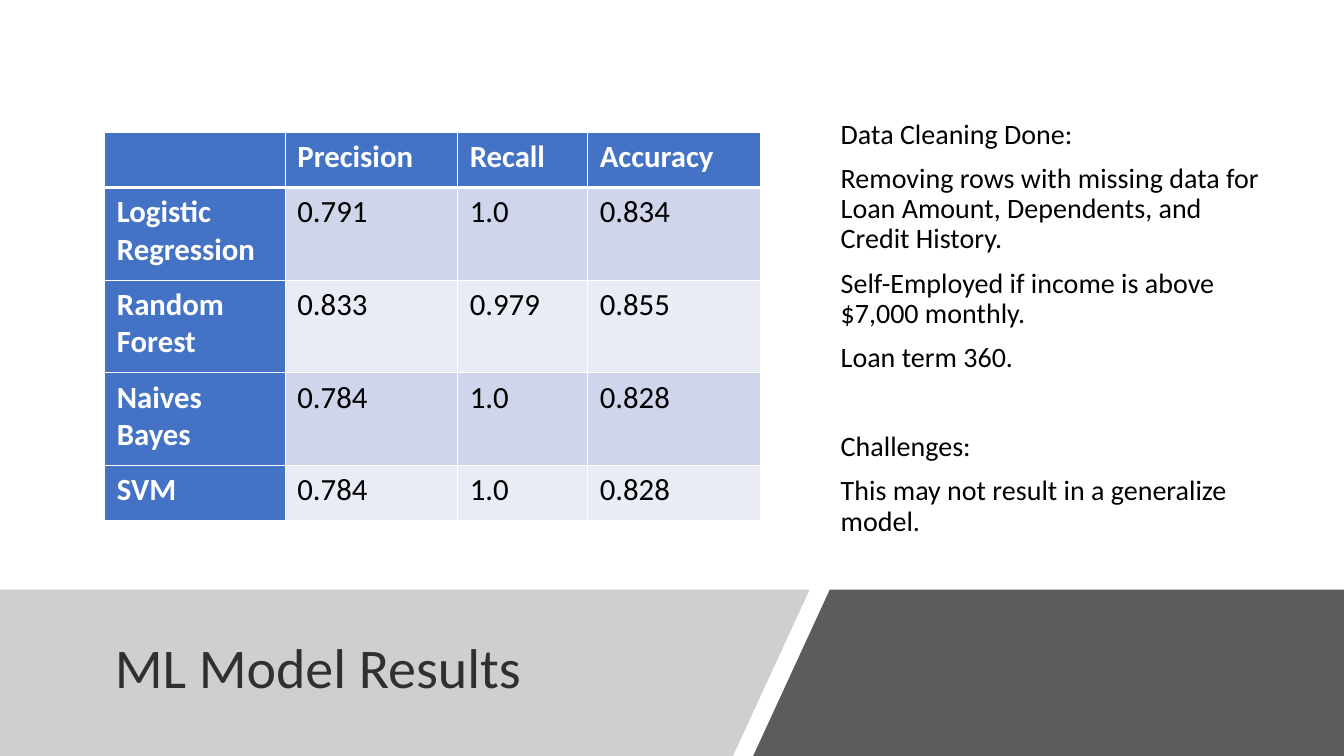
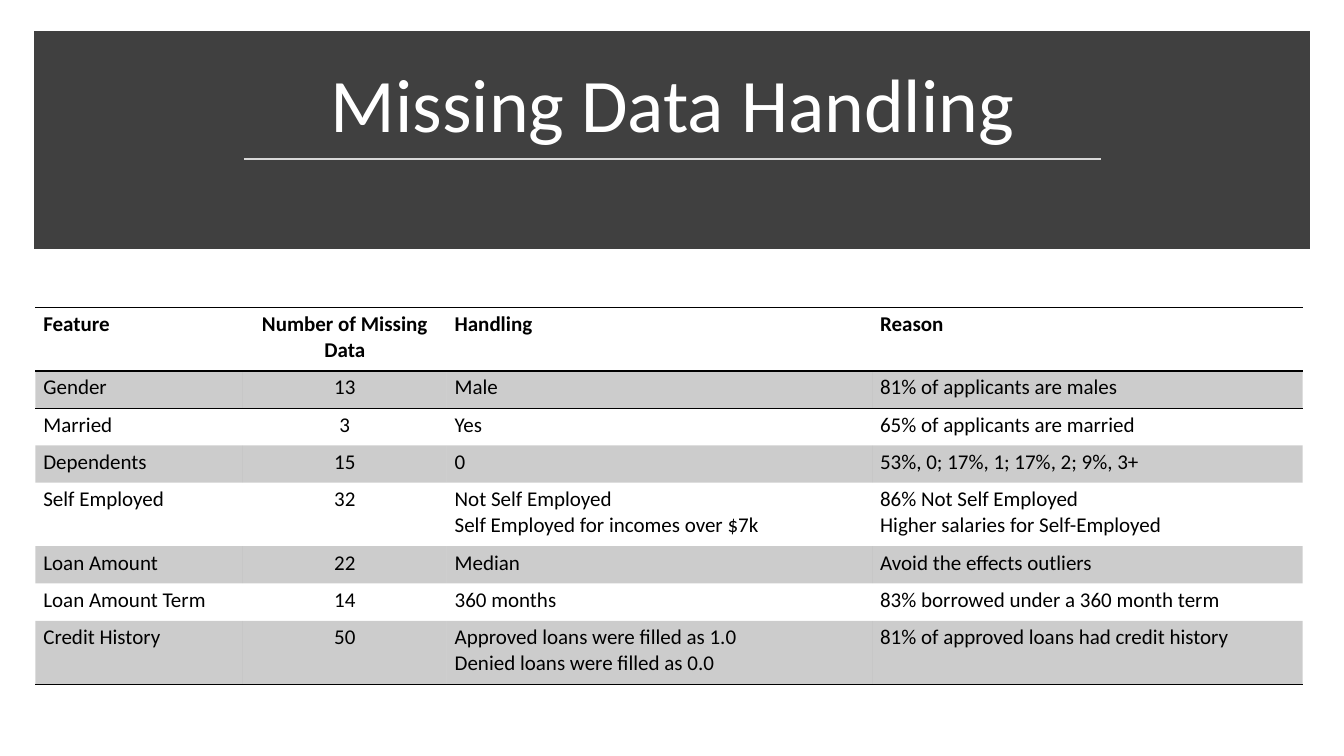
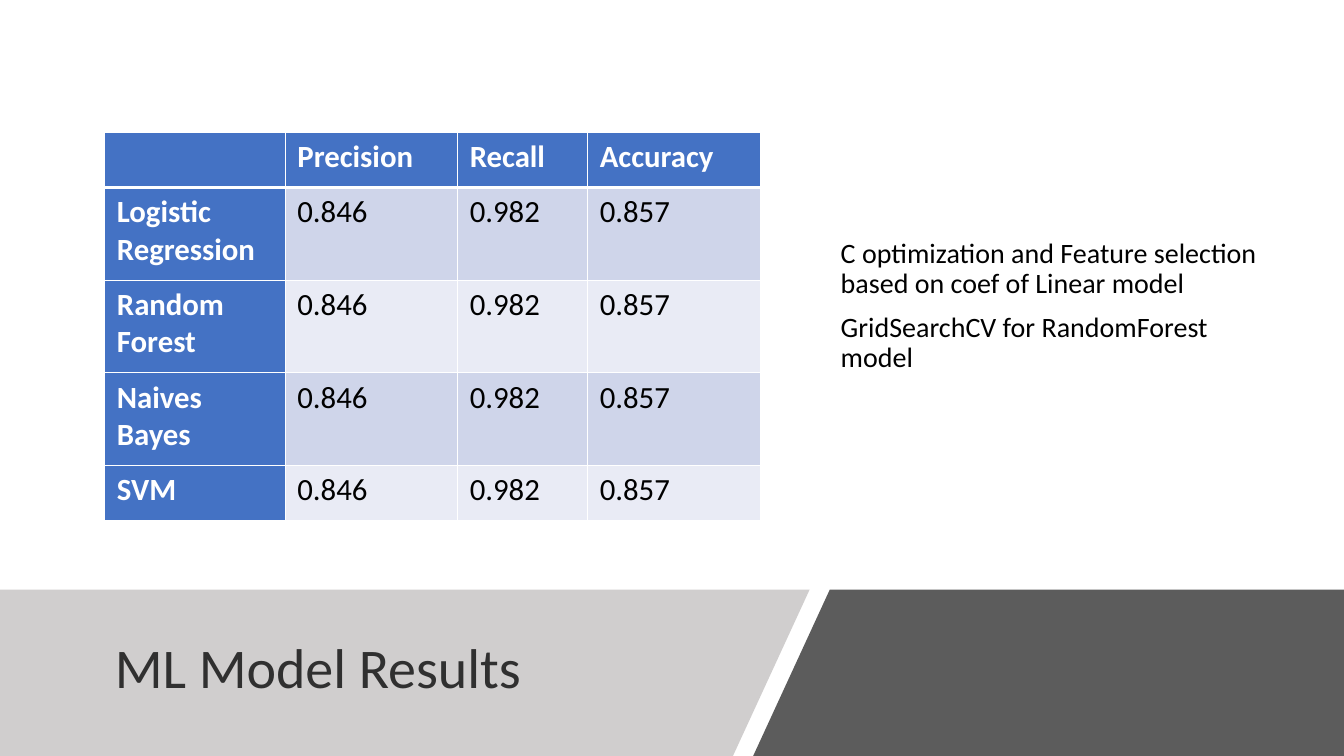
from dataclasses import dataclass

from lxml import etree
from pptx import Presentation
from pptx.dml.color import RGBColor
from pptx.enum.shapes import MSO_CONNECTOR, MSO_SHAPE
from pptx.enum.text import MSO_ANCHOR, PP_ALIGN
from pptx.oxml.ns import qn
from pptx.util import Inches, Pt

RECT = MSO_SHAPE.RECTANGLE
LINE = MSO_CONNECTOR.STRAIGHT
LEFT, CENTER = PP_ALIGN.LEFT, PP_ALIGN.CENTER
MIDDLE, BOTTOM = MSO_ANCHOR.MIDDLE, MSO_ANCHOR.BOTTOM

FONT = "Calibri"
PLAIN = "{2D5ABB26-0587-4C30-8999-92F81FD0307C}"
COLORS = {
    "white": "FFFFFF",
    "black": "000000",
    "dark": "404040",
    "title": "303030",
    "band": "D0CECE",
    "rule": "D9D9D9",
    "head": "4472C4",
    "odd": "CFD5EA",
    "even": "E9EBF5",
}


@dataclass(frozen=True)
class Style:
    size: float
    color: str = "black"
    bold: bool = False
    align: PP_ALIGN = LEFT
    pitch: float | None = None
    before: float = 0


@dataclass(frozen=True)
class Band:
    points: list[tuple[float, float]]
    color: str
    alpha: int = 100


@dataclass(frozen=True)
class Note:
    text: str
    before: float = 10


@dataclass(frozen=True)
class Result:
    rows: list[list[str]]
    notes: list[Note]
    foot: float = 0.05


@dataclass(frozen=True)
class Look:
    style: Style
    edges: dict[str, tuple[str, float]]
    fill: str | None = None
    alpha: int = 100


BANDS = [
    Band([(8.23, 5.85), (13.33, 5.85), (13.33, 7.5), (7.47, 7.5)], "dark", 85),
    Band([(0, 5.85), (8.03, 5.85), (7.27, 7.5), (0, 7.5)], "band"),
]
SCORES = ["", "Precision", "Recall", "Accuracy"]
MODELS = ["Logistic Regression", "Random Forest", "Naives Bayes", "SVM"]

FIRST = Result(
    [
        ["0.791", "1.0", "0.834"],
        ["0.833", "0.979", "0.855"],
        ["0.784", "1.0", "0.828"],
        ["0.784", "1.0", "0.828"],
    ],
    [
        Note("Data Cleaning Done:"),
        Note("Removing rows with missing data for Loan Amount, Dependents, and Credit History."),
        Note("Self-Employed if income is above $7,000 monthly."),
        Note("Loan term 360."),
        Note("Challenges:", 42),
        Note("This may not result in a generalize model."),
    ],
)
TUNED = Result(
    [["0.846", "0.982", "0.857"]] * len(MODELS),
    [
        Note("C optimization and Feature selection based on coef of Linear model"),
        Note("GridSearchCV for RandomForest model"),
    ],
    0.49,
)
MISSING = [
    ["Feature", "Number of Missing Data", "Handling", "Reason"],
    ["Gender", "13", "Male", "81% of applicants are males"],
    ["Married", "3", "Yes", "65% of applicants are married"],
    ["Dependents", "15", "0", "53%, 0; 17%, 1; 17%, 2; 9%, 3+"],
    ["Self Employed", "32", "Not Self Employed\nSelf Employed for incomes over $7k",
     "86% Not Self Employed\nHigher salaries for Self-Employed"],
    ["Loan Amount", "22", "Median", "Avoid the effects outliers"],
    ["Loan Amount Term", "14", "360 months", "83% borrowed under a 360 month term"],
    ["Credit History", "50", "Approved loans were filled as 1.0\nDenied loans were filled as 0.0",
     "81% of approved loans had credit history"],
]


def shade(name: str) -> RGBColor:
    return RGBColor.from_string(COLORS[name])


def fade(props, alpha: int) -> None:
    if alpha < 100:
        color = props.find(qn("a:solidFill") + "/" + qn("a:srgbClr"))
        etree.SubElement(color, qn("a:alpha"), val=str(alpha * 1000))


def write(para, text: str, style: Style) -> None:
    para.text = text
    para.alignment = style.align
    para.space_before = Pt(style.before)
    if style.pitch:
        para.line_spacing = style.pitch
    font = para.font
    font.name, font.size, font.bold = FONT, Pt(style.size), style.bold
    font.color.rgb = shade(style.color)


def fill_text(frame, lines: list[tuple[str, Style]]) -> None:
    for num, (text, style) in enumerate(lines):
        para = frame.add_paragraph() if num else frame.paragraphs[0]
        write(para, text, style)


def add_text(slide, box: tuple[float, ...], lines: list[tuple[str, Style]],
             anchor: MSO_ANCHOR = MIDDLE, foot: float = 0.05) -> None:
    frame = slide.shapes.add_textbox(*map(Inches, box)).text_frame
    frame.word_wrap = True
    frame.vertical_anchor = anchor
    frame.margin_bottom = Inches(foot)
    fill_text(frame, lines)


def add_band(slide, band: Band) -> None:
    start, *rest = [(Inches(x), Inches(y)) for x, y in band.points]
    pen = slide.shapes.build_freeform(*start)
    pen.add_line_segments(rest, close=True)
    shape = pen.convert_to_shape()
    shape.shadow.inherit = False
    shape.fill.solid()
    shape.fill.fore_color.rgb = shade(band.color)
    fade(shape._element.spPr, band.alpha)
    shape.line.fill.background()


def add_edge(props, side: str, color: str, width: float) -> None:
    line = etree.SubElement(props, qn("a:ln" + side), w=str(Pt(width)))
    fill = etree.SubElement(line, qn("a:solidFill"))
    etree.SubElement(fill, qn("a:srgbClr"), val=COLORS[color])


def draw_cell(cell, text: str, look: Look, pad: float) -> None:
    cell.margin_left = cell.margin_right = Inches(pad)
    cell.margin_top = cell.margin_bottom = Inches(pad / 2)
    props = cell._tc.get_or_add_tcPr()
    for side in "LRTB":
        if side in look.edges:
            add_edge(props, side, *look.edges[side])
    if look.fill:
        cell.fill.solid()
        cell.fill.fore_color.rgb = shade(look.fill)
        fade(props, look.alpha)
    else:
        cell.fill.background()
    if text:
        fill_text(cell.text_frame, [(part, look.style) for part in text.split("\n")])


def draw_table(slide, left: float, top: float, cols: list[float], rows: list[float],
               cells: list[list[str]], pick, pad: float) -> None:
    box = map(Inches, (left, top, sum(cols), sum(rows)))
    table = slide.shapes.add_table(len(rows), len(cols), *box).table
    table.first_row = table.horz_banding = False
    table._tbl.tblPr.find(qn("a:tableStyleId")).text = PLAIN
    for col, width in zip(table.columns, cols):
        col.width = Inches(width)
    for row, height in zip(table.rows, rows):
        row.height = Inches(height)
    for r, line in enumerate(cells):
        for c, text in enumerate(line):
            draw_cell(table.cell(r, c), text, pick(r, c), pad)


def score_look(row: int, col: int) -> Look:
    thin, thick = ("white", 1), ("white", 3)
    edges = {"L": thin, "R": thin, "B": thin if row else thick}
    if row < 2:
        edges["T"] = thick if row else thin
    if row == 0 or col == 0:
        return Look(Style(22, "white", True), edges, "head")
    return Look(Style(22), edges, "odd" if row % 2 else "even")


def gap_look(row: int, col: int) -> Look:
    rule = ("black", 1)
    style = Style(15, bold=row == 0, align=CENTER if col == 1 else LEFT)
    edges = {}
    if row == 0:
        edges = {"T": rule, "B": rule}
    elif row == 1:
        edges = {"T": rule}
    elif row == len(MISSING) - 1:
        edges = {"B": rule}
    return Look(style, edges, "black" if row % 2 else None, 20)


def draw_result(slide, result: Result) -> None:
    for band in BANDS:
        add_band(slide, band)
    add_text(slide, (1.04, 6.05, 6.23, 1.2),
             [("ML Model Results", Style(40, "title", pitch=0.9))])
    lines = [(note.text, Style(20, pitch=0.9, before=note.before)) for note in result.notes]
    add_text(slide, (8.24, 1.06, 4.38, 4.4), lines, foot=result.foot)
    cells = [SCORES] + [[name, *row] for name, row in zip(MODELS, result.rows)]
    draw_table(slide, 1.04, 1.31, [1.79, 1.71, 1.29, 1.71],
               [0.55, 0.92, 0.92, 0.92, 0.55], cells, score_look, 0.12)


def draw_missing(slide) -> None:
    panel = slide.shapes.add_shape(RECT, *map(Inches, (0.41, 0.38, 12.51, 2.02)))
    panel.shadow.inherit = False
    panel.fill.solid()
    panel.fill.fore_color.rgb = panel.line.color.rgb = shade("dark")
    panel.line.width = Pt(10)
    etree.SubElement(panel._element.spPr.find(qn("a:ln")), qn("a:miter"), lim="800000")
    add_text(slide, (0.58, 0.51, 12.18, 1.02),
             [("Missing Data Handling", Style(54, "white", align=CENTER, pitch=0.9))], BOTTOM)
    rule = slide.shapes.add_connector(LINE, *map(Inches, (2.42, 1.58, 10.92, 1.58)))
    rule.line.color.rgb = shade("rule")
    rule.line.width = Pt(1.75)
    etree.SubElement(rule._element.spPr, qn("a:effectLst"))
    rows = [0.63 if r in (0, 4, 7) else 0.37 for r in range(len(MISSING))]
    draw_table(slide, 0.35, 3.05, [2.06, 2.02, 4.22, 4.27], rows, MISSING, gap_look, 0.08)


def main() -> None:
    deck = Presentation()
    deck.slide_width, deck.slide_height = Inches(13.33), Inches(7.5)
    blank = deck.slide_layouts[6]
    draw_result(deck.slides.add_slide(blank), FIRST)
    draw_missing(deck.slides.add_slide(blank))
    draw_result(deck.slides.add_slide(blank), TUNED)
    deck.save("out.pptx")


main()
